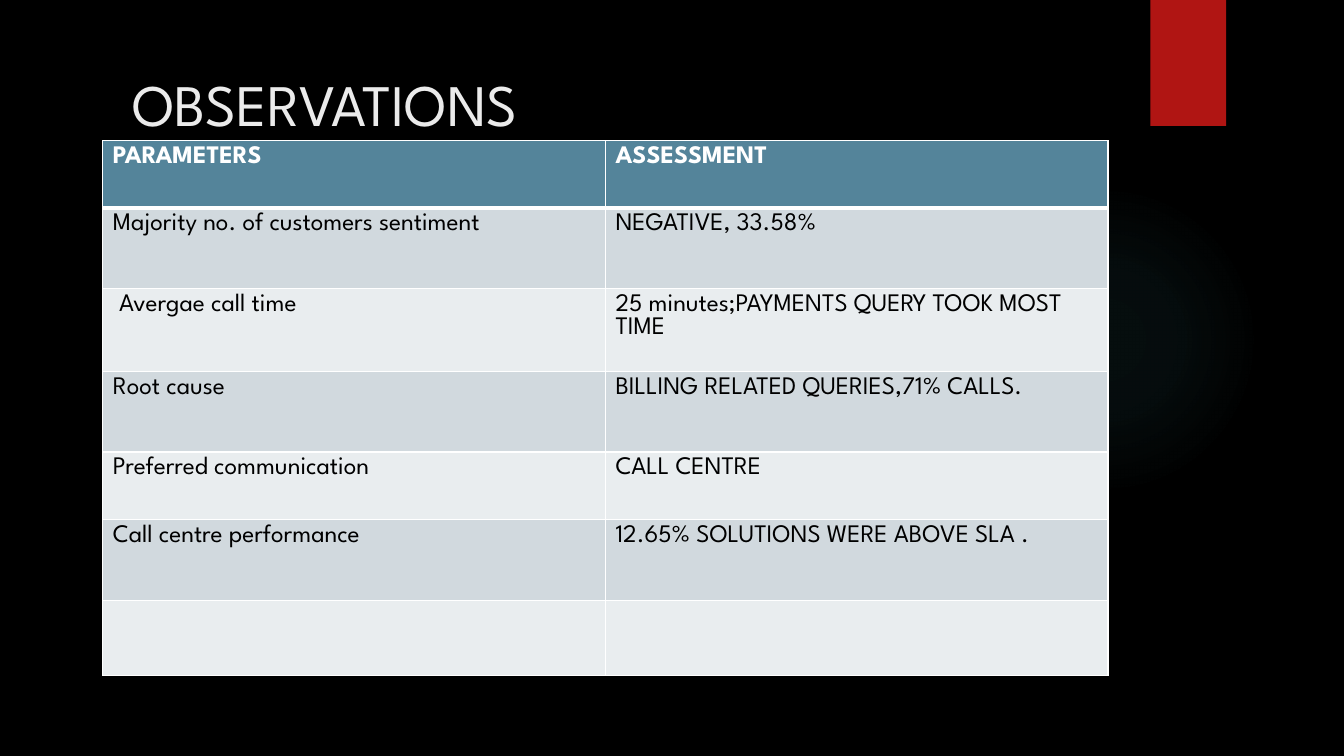
from dataclasses import dataclass

from lxml.etree import SubElement
from pptx import Presentation
from pptx.dml.color import RGBColor
from pptx.enum.shapes import MSO_SHAPE
from pptx.enum.text import MSO_ANCHOR, MSO_AUTO_SIZE, PP_ALIGN
from pptx.oxml import parse_xml
from pptx.oxml.ns import nsdecls, qn
from pptx.util import Inches, Pt


@dataclass(frozen=True)
class Theme:
    font: str = "League Spartan"
    title_size: int = 42
    table_size: int = 18
    background: str = "000000"
    title: str = "EBEBEB"
    glow: str = "50B9C1"
    ribbon: str = "B01513"
    header: str = "54849A"
    header_text: str = "FFFFFF"
    bands: tuple = ("D1D9DE", "E9EDEF")
    text: str = "000000"
    border: str = "FFFFFF"
    border_width: int = 1
    header_rule: int = 3


def set_all(target, values):
    for name, value in values.items():
        setattr(target, name, value)


class SlideBuilder:
    """Holds the theme and the slide; places are percentages of the slide."""

    def __init__(self, deck, theme):
        self.deck, self.theme = deck, theme
        self.page = deck.slides.add_slide(deck.slide_layouts[5])
        self.paint(self.page.background.fill, theme.background)

    def place(self, left, top, width, height):
        wide, high = self.deck.slide_width, self.deck.slide_height
        return [int(share * full / 100) for share, full in
                zip((left, top, width, height), (wide, high, wide, high))]

    def paint(self, fill, color):
        fill.solid()
        fill.fore_color.rgb = RGBColor.from_string(color)

    def add_text(self, frame, text, size, color, bold=False):
        para = frame.paragraphs[0]
        para.alignment = PP_ALIGN.LEFT
        span = para.add_run()
        span.text = text
        set_all(span.font, {"name": self.theme.font, "size": Pt(size), "bold": bold})
        span.font.color.rgb = RGBColor.from_string(color)

    def shape(self, kind, area, color):
        box = self.page.shapes.add_shape(kind, *self.place(*area))
        box.shadow.inherit = False
        box.line.fill.background()
        self.paint(box.fill, color)
        return box

    def glow(self, area, stops):
        box = self.shape(MSO_SHAPE.OVAL, area, self.theme.glow)
        marks = "".join(
            f'<a:gs pos="{position * 1000}"><a:srgbClr val="{self.theme.glow}">'
            f'<a:alpha val="{alpha * 1000}"/></a:srgbClr></a:gs>'
            for position, alpha in stops)
        gradient = parse_xml(
            f'<a:gradFill {nsdecls("a")} rotWithShape="1"><a:gsLst>{marks}</a:gsLst>'
            '<a:path path="circle"><a:fillToRect l="50000" t="50000" r="50000" b="50000"/>'
            '</a:path></a:gradFill>')
        properties = box.element.spPr
        properties.replace(properties.find(qn("a:solidFill")), gradient)

    def ribbon(self, area):
        box = self.shape(MSO_SHAPE.RECTANGLE, area, self.theme.ribbon)
        effects = box.element.spPr.find(qn("a:effectLst"))
        shadow = SubElement(effects, qn("a:outerShdw"), blurRad=str(Pt(3)),
                            dist=str(Pt(2)), dir="5400000", rotWithShape="0")
        color = SubElement(shadow, qn("a:srgbClr"), val="000000")
        SubElement(color, qn("a:alpha"), val="45000")

    def title(self, area, text):
        box = self.page.shapes.title
        box.element.getparent().append(box.element)  # in front of the ornaments
        set_all(box, dict(zip(("left", "top", "width", "height"), self.place(*area))))
        set_all(box.text_frame, {
            "word_wrap": True, "auto_size": MSO_AUTO_SIZE.NONE,
            "vertical_anchor": MSO_ANCHOR.TOP, "margin_top": Inches(0.17)})
        self.add_text(box.text_frame, text, self.theme.title_size, self.theme.title)

    def borders(self, cell, widths):
        properties = cell._tc.get_or_add_tcPr()
        for index, (side, width) in enumerate(widths.items()):
            properties.insert(index, parse_xml(
                f'<a:{side} {nsdecls("a")} w="{Pt(width)}"><a:solidFill>'
                f'<a:srgbClr val="{self.theme.border}"/></a:solidFill></a:{side}>'))

    def table(self, left, top, width, heights, rows):
        theme = self.theme
        area = self.place(left, top, width, sum(heights))
        grid = self.page.shapes.add_table(len(rows), len(rows[0]), *area).table
        for index, (values, height) in enumerate(zip(rows, heights)):
            grid.rows[index].height = self.place(0, 0, 0, height)[3]
            is_header = index == 0
            fill = theme.header if is_header else theme.bands[(index - 1) % 2]
            color = theme.header_text if is_header else theme.text
            thin, thick = theme.border_width, theme.header_rule
            widths = {"lnL": thin, "lnR": thin,
                      "lnT": thick if index == 1 else thin,
                      "lnB": thick if is_header else thin}
            for column, value in enumerate(values):
                cell = grid.cell(index, column)
                self.paint(cell.fill, fill)
                self.borders(cell, widths)
                if value:
                    self.add_text(cell.text_frame, value, theme.table_size, color, is_header)


def main():
    deck = Presentation()
    set_all(deck, {"slide_width": Inches(13.33), "slide_height": Inches(7.5)})
    slide = SlideBuilder(deck, Theme())

    # Background ornaments
    slide.glow((70.59, 24.4, 23.1, 41.07), [(0, 7), (36, 6), (69, 0)])
    slide.ribbon((85.6, 0, 5.63, 16.67))

    # Title
    slide.title((9.08, 6.67, 73.44, 14.27), "OBSERVATIONS")

    # Findings table
    short, tall = 8.93, 10.67
    slide.table(7.65, 18.6, 74.8, [short, tall, 10.93, tall, short, tall, 10], [
        ("PARAMETERS", "ASSESSMENT"),
        ("Majority no. of customers sentiment", "NEGATIVE, 33.58%"),
        (" Avergae call time", "25 minutes;PAYMENTS QUERY TOOK MOST TIME"),
        ("Root cause", "BILLING RELATED QUERIES,71% CALLS."),
        ("Preferred communication", "CALL CENTRE"),
        ("Call centre performance", "12.65% SOLUTIONS WERE ABOVE SLA ."),
        ("", ""),
    ])

    deck.save("out.pptx")


if __name__ == "__main__":
    main()
